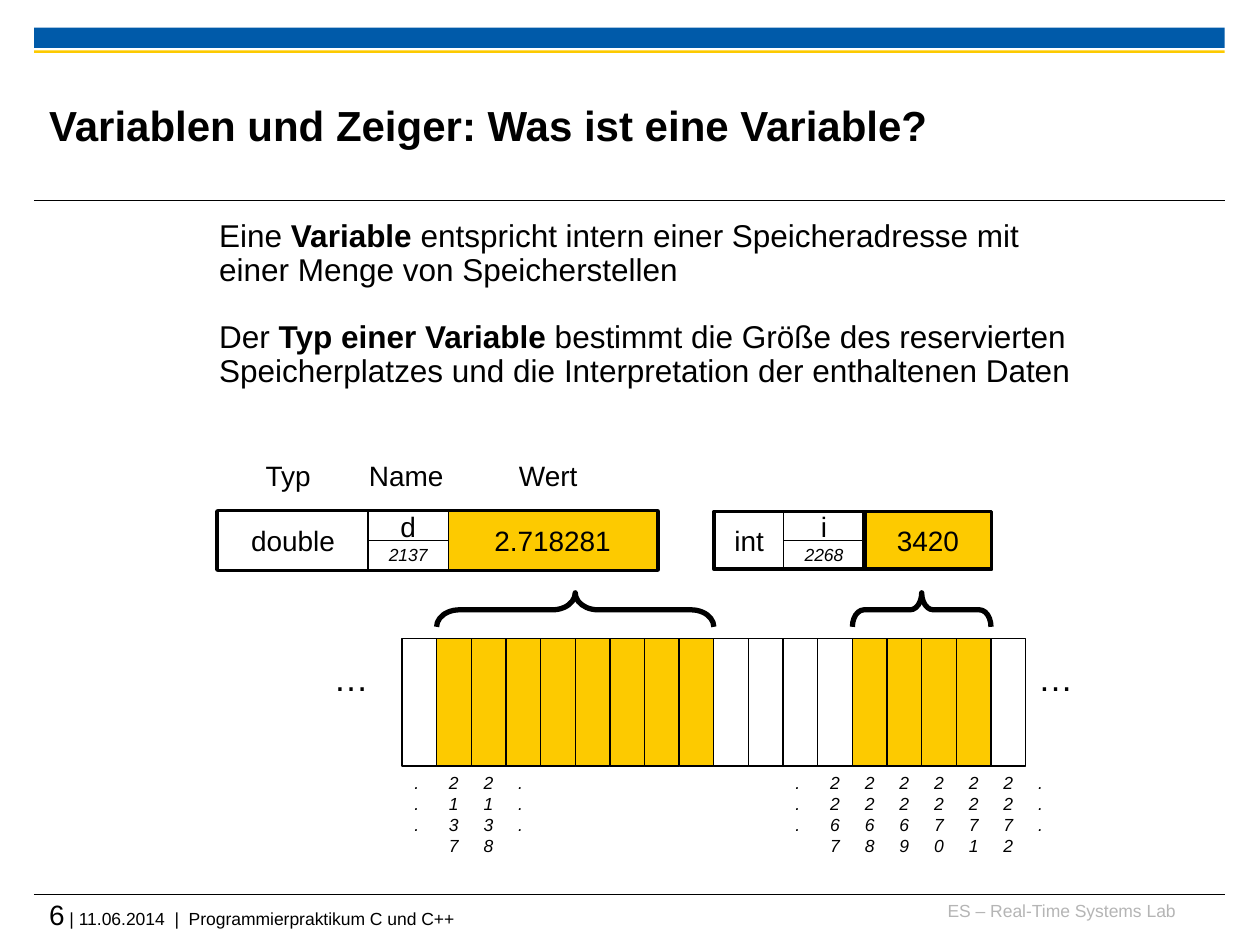
from dataclasses import dataclass

from lxml.etree import SubElement
from pptx import Presentation
from pptx.dml.color import RGBColor
from pptx.enum.shapes import MSO_CONNECTOR, MSO_SHAPE
from pptx.enum.text import MSO_ANCHOR, MSO_AUTO_SIZE, PP_ALIGN
from pptx.oxml.ns import qn
from pptx.util import Inches, Pt


@dataclass(frozen=True)
class Theme:
    font: str = "Arial"
    black: str = "000000"
    white: str = "FFFFFF"
    blue: str = "005AA9"
    yellow: str = "FDCA00"
    grey: str = "B5B5B5"
    title: int = 24
    dots: int = 20
    body: int = 18
    label: int = 16
    small: int = 10


class SlideBuilder:
    def __init__(self, page, theme):
        self.page = page
        self.theme = theme

    def fill_text(self, frame, paragraphs, size, align=PP_ALIGN.LEFT, color=None, **formats):
        """Fill a frame; each paragraph is a string or a list of (text, formats) spans."""
        for index, content in enumerate(paragraphs):
            para = frame.paragraphs[0] if index == 0 else frame.add_paragraph()
            para.alignment = align
            spans = [(content, {})] if isinstance(content, str) else content
            for text, own_formats in spans:
                span = para.add_run()
                span.text = text
                span.font.color.rgb = RGBColor.from_string(color or self.theme.black)
                values = {"name": self.theme.font, "size": Pt(size), **formats, **own_formats}
                for name, value in values.items():
                    setattr(span.font, name, value)

    def set_margins(self, frame, left=0, top=0, right=0, bottom=0):
        margins = {"left": left, "top": top, "right": right, "bottom": bottom}
        for side, value in margins.items():
            setattr(frame, f"margin_{side}", Inches(value))

    def title(self, text, left, top, width, height):
        holder = self.page.shapes.title
        place = {"left": left, "top": top, "width": width, "height": height}
        for name, value in place.items():
            setattr(holder, name, Inches(value))
        frame = holder.text_frame
        self.set_margins(frame)
        frame.word_wrap = True
        frame.auto_size = MSO_AUTO_SIZE.NONE
        frame.vertical_anchor = MSO_ANCHOR.MIDDLE
        self.fill_text(frame, [text], self.theme.title, bold=True)

    def text(self, paragraphs, left, top, width, height, size, wrap=False,
             margins=(0.1, 0.05, 0.1, 0.05), **formats):
        box = self.page.shapes.add_textbox(*map(Inches, (left, top, width, height)))
        frame = box.text_frame
        frame.word_wrap = wrap
        self.set_margins(frame, *margins)
        self.fill_text(frame, paragraphs, size, **formats)
        return frame

    def shape(self, kind, left, top, width, height, fill=None, line=None):
        shape = self.page.shapes.add_shape(kind, *map(Inches, (left, top, width, height)))
        shape.shadow.inherit = False
        if fill:
            shape.fill.solid()
            shape.fill.fore_color.rgb = RGBColor.from_string(fill)
        else:
            shape.fill.background()
        if line:
            shape.line.color.rgb = RGBColor.from_string(self.theme.black)
            shape.line.width = Pt(line)
        else:
            shape.line.fill.background()
        return shape

    def box(self, left, top, width, height, fill=None, line=None, text=None,
            size=None, **formats):
        box = self.shape(MSO_SHAPE.RECTANGLE, left, top, width, height, fill, line)
        if text:
            frame = box.text_frame
            self.set_margins(frame)
            frame.word_wrap = False
            frame.vertical_anchor = MSO_ANCHOR.MIDDLE
            self.fill_text(frame, [text], size or self.theme.label, PP_ALIGN.CENTER, **formats)
        return box

    def brace(self, center_x, center_y, length, depth, curve):
        """Draw a brace that opens downwards, made from a turned left brace."""
        brace = self.shape(MSO_SHAPE.LEFT_BRACE, center_x - depth / 2,
                           center_y - length / 2, depth, length, line=3)
        brace.rotation = 90
        brace.adjustments[0] = curve
        brace.adjustments[1] = 0.5

    def line(self, x1, y1, x2, y2, width):
        line = self.page.shapes.add_connector(
            MSO_CONNECTOR.STRAIGHT, *map(Inches, (x1, y1, x2, y2)))
        line.line.color.rgb = RGBColor.from_string(self.theme.black)
        line.line.width = Pt(width)
        SubElement(line._element.spPr, qn("a:effectLst"))

    def variable(self, edges, type_name, name, address, value, value_line):
        """Draw type, name above address, and value between four x edges."""
        top, height = 4.06, 0.46
        left, middle, right, end = edges
        theme = self.theme
        self.box(left, top, middle - left, height, theme.white, 0.75, type_name)
        self.box(right, top, end - right, height, theme.yellow, value_line, value)
        self.box(middle, top, right - middle, height / 2, theme.white, 0.75, name)
        self.box(middle, top + height / 2, right - middle, height / 2, theme.white, 0.75,
                 address, theme.small, italic=True)


def add_frame(builder):
    theme = builder.theme
    builder.box(0.27, 0.22, 9.45, 0.16, theme.blue)
    builder.box(0.27, 0.4, 9.45, 0.02, theme.yellow)
    for y in (1.59, 7.1):
        builder.line(0.27, y, 9.72, y, 0.6)
    builder.text(["ES – Real-Time Systems Lab"], 7.36, 7.14, 1.97, 0.25, theme.small,
                 wrap=True, margins=(0, 0, 0, 0), align=PP_ALIGN.RIGHT, color=theme.grey)
    footer = [("6", {"size": Pt(theme.label)}),
              (" | 11.06.2014  |  Programmierpraktikum C und C++", {})]
    builder.text([footer], 0.39, 7.12, 6.9, 0.33, theme.small, wrap=True,
                 margins=(0, 0, 0, 0))


def add_explanation(builder):
    bold = {"bold": True}
    paragraphs = [
        [("Eine ", {}), ("Variable", bold),
         (" entspricht intern einer Speicheradresse mit einer Menge von Speicherstellen", {})],
        [("Der ", {}), ("Typ einer Variable", bold),
         (" bestimmt die Größe des reservierten Speicherplatzes und die Interpretation"
          " der enthaltenen Daten", {})],
    ]
    frame = builder.text(paragraphs, 1.14, 1.7, 7.64, 1.74, builder.theme.body, wrap=True,
                         margins=(0.6, 0.05, 0.1, 0.05))
    for para in frame.paragraphs:
        para.line_spacing = 0.9
    frame.paragraphs[1].space_before = Pt(19)


def add_variables(builder):
    theme = builder.theme
    for text, left, width in (("Typ", 2.01, 0.66), ("Name", 2.83, 0.93), ("Wert", 4.02, 0.78)):
        builder.text([text], left, 3.59, width, 0.43, theme.label)
    builder.box(1.73, 4.06, 3.49, 0.46, theme.yellow, 3)
    builder.variable((1.73, 2.92, 3.56, 5.21), "double", "d", "2137", "2.718281", 1)
    builder.variable((5.67, 6.22, 6.86, 7.87), "int", "i", "2268", "3420", 0.25)
    builder.line(6.86, 4.06, 6.86, 4.52, 3)
    builder.box(5.67, 4.06, 2.2, 0.46, line=2.25)


def add_memory(builder):
    theme = builder.theme
    left, top, cell, count = 3.19, 5.07, 0.275, 18
    used_ranges = ((1, 8, 0.67), (13, 4, 0.34))
    used = {first + step for first, size, _ in used_ranges for step in range(size)}
    for index in range(count):
        fill = theme.yellow if index in used else theme.white
        builder.box(left + index * cell, top, cell, 1.01, fill, 0.75)
    for first, size, curve in used_ranges:
        builder.brace(left + (first + size / 2) * cell, 4.84, size * cell, 0.27, curve)
    for x in (2.55, 8.14):
        builder.text(["…"], x, 5.16, 0.56, 0.51, theme.dots)

    addresses = {0: "...", 1: "2137", 2: "2138", 3: "...", 11: "...", 18: "..."}
    addresses.update({12 + step: str(2267 + step) for step in range(6)})
    for index, address in addresses.items():
        width, height = (0.24, 0.61) if address == "..." else (0.28, 0.77)
        builder.text(list(address), left + index * cell, 6.08, width, height,
                     theme.small, italic=True)


def main():
    deck = Presentation()
    deck.slide_width, deck.slide_height = Inches(10), Inches(7.5)
    title_only = deck.slide_layouts[5]
    builder = SlideBuilder(deck.slides.add_slide(title_only), Theme())
    add_frame(builder)
    builder.title("Variablen und Zeiger: Was ist eine Variable?", 0.39, 0.53, 7.52, 0.92)
    add_explanation(builder)
    add_variables(builder)
    add_memory(builder)
    deck.save("out.pptx")


if __name__ == "__main__":
    main()
